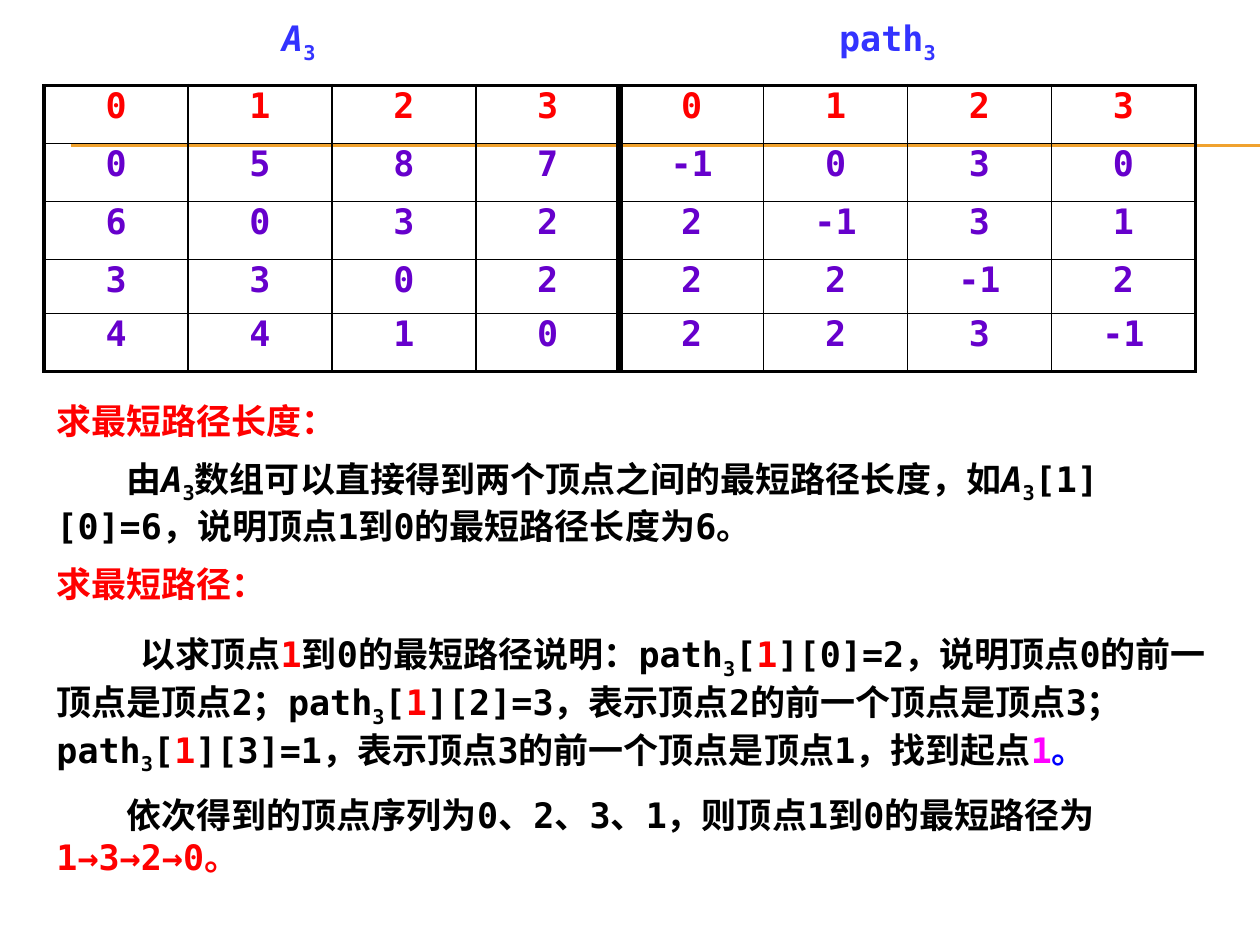
import pptx
import pptx.dml.color
import pptx.enum.text
import pptx.oxml
import pptx.oxml.ns
import pptx.util
from pptx.util import Inches, Pt

RGBColor = pptx.dml.color.RGBColor
BLACK = RGBColor(0x00, 0x00, 0x00)
RED = RGBColor(0xFF, 0x00, 0x00)
PURPLE = RGBColor(0x66, 0x00, 0xCC)
LABEL_BLUE = RGBColor(0x33, 0x33, 0xFF)
BLUE = RGBColor(0x00, 0x00, 0xFF)
MAGENTA = RGBColor(0xFF, 0x00, 0xFF)
ORANGE = RGBColor(0xF0, 0xA2, 0x2E)
FONT = "DejaVu Sans Mono"
SIZE = 20

# A run is (text, color, style); style is "", "italic" or "sub".
def matrix_name(color):
    return [("A", color, "italic"), ("3", color, "sub")]


def path_name(color):
    return [("path", color, ""), ("3", color, "sub")]


def path_lookup(rest):
    """Runs for path3[1]..., with the start vertex in red."""
    return path_name(BLACK) + [("[", BLACK, ""), ("1", RED, ""), (rest, BLACK, "")]


# left, width, runs
LABELS = [(2.24, 0.63, matrix_name(LABEL_BLUE)), (6.66, 0.94, path_name(LABEL_BLUE))]

HEADER = [0, 1, 2, 3]
DISTANCES = [[0, 5, 8, 7], [6, 0, 3, 2], [3, 3, 0, 2], [4, 4, 1, 0]]
PREDECESSORS = [[-1, 0, 3, 0], [2, -1, 3, 1], [2, 2, -1, 2], [2, 2, 3, -1]]
ROWS = [HEADER + HEADER] + [a + p for a, p in zip(DISTANCES, PREDECESSORS)]
ROW_HEIGHTS = [0.46, 0.46, 0.46, 0.43, 0.46]
TABLE_LEFT, TABLE_TOP, TABLE_WIDTH = 0.35, 0.68, 9.14
THIN, OUTER, DIVIDER = 1, 2.25, 4.5

# space before (pt), first-line indent (pt), runs
EXPLANATION = [
    (0, 0, [("求最短路径长度：", RED, "")]),
    (9, 40, [("由", BLACK, "")] + matrix_name(BLACK)
     + [("数组可以直接得到两个顶点之间的最短路径长度，如", BLACK, "")]
     + matrix_name(BLACK)
     + [("[1][0]=6，说明顶点1到0的最短路径长度为6。", BLACK, "")]),
    (9, 0, [("求最短路径：", RED, "")]),
    (16, 48, [("以求顶点", BLACK, ""), ("1", RED, ""), ("到0的最短路径说明：", BLACK, "")]
     + path_lookup("][0]=2，说明顶点0的前一顶点是顶点2；")
     + path_lookup("][2]=3，表示顶点2的前一个顶点是顶点3；")
     + path_lookup("][3]=1，表示顶点3的前一个顶点是顶点1，找到起点")
     + [("1", MAGENTA, ""), ("。", BLUE, "")]),
    (10, 40, [("依次得到的顶点序列为0、2、3、1，则顶点1到0的最短路径为", BLACK, ""),
              ("1→3→2→0。", RED, "")]),
]


def format_run(run, color, style=""):
    font = run.font
    font.name, font.size, font.bold = FONT, Pt(SIZE), True
    font.color.rgb = color
    if style == "italic":
        font.italic = True
    elif style == "sub":
        font._element.set("baseline", "-25000")


def add_runs(paragraph, runs):
    for text, color, style in runs:
        run = paragraph.add_run()
        run.text = text
        format_run(run, color, style)


def add_rule(slide, y):
    rule = slide.shapes.add_connector(
        pptx.enum.shapes.MSO_CONNECTOR.STRAIGHT,
        Inches(0.56), Inches(y), Inches(10), Inches(y))
    rule.line.color.rgb = ORANGE
    rule.line.width = Pt(0.75)
    rule._element.spPr.append(pptx.oxml.parse_xml(
        f'<a:effectLst {pptx.oxml.ns.nsdecls("a")}/>'))


def set_borders(cell, widths):
    """Draw black borders; widths are points for left, right, top, bottom."""
    properties = cell._tc.get_or_add_tcPr()
    for position, (side, width) in enumerate(zip("LRTB", widths)):
        properties.insert(position, pptx.oxml.parse_xml(
            f'<a:ln{side} {pptx.oxml.ns.nsdecls("a")} w="{Pt(width)}">'
            f'<a:solidFill><a:srgbClr val="{BLACK}"/></a:solidFill></a:ln{side}>'))


def add_matrices(slide):
    column_count = len(ROWS[0])
    table = slide.shapes.add_table(
        len(ROWS), column_count, Inches(TABLE_LEFT), Inches(TABLE_TOP),
        Inches(TABLE_WIDTH), Inches(sum(ROW_HEIGHTS))).table
    table.first_row = table.horz_banding = False
    for row, height in zip(table.rows, ROW_HEIGHTS):
        row.height = Inches(height)

    column_edges = [THIN] * (column_count + 1)
    column_edges[0] = column_edges[-1] = OUTER
    column_edges[len(HEADER)] = DIVIDER
    row_edges = [OUTER] + [THIN] * (len(ROWS) - 1) + [OUTER]

    for r, values in enumerate(ROWS):
        for c, value in enumerate(values):
            cell = table.cell(r, c)
            cell.margin_left = cell.margin_right = 0
            cell.margin_top = cell.margin_bottom = 0
            cell.fill.background()
            set_borders(cell, column_edges[c:c + 2] + row_edges[r:r + 2])
            paragraph = cell.text_frame.paragraphs[0]
            paragraph.text = str(value)
            paragraph.alignment = pptx.enum.text.PP_ALIGN.CENTER
            format_run(paragraph.runs[0], RED if r == 0 else PURPLE)


def add_label(slide, left, width, runs):
    frame = slide.shapes.add_textbox(
        Inches(left), Inches(0.13), Inches(width), Inches(0.34)).text_frame
    frame.margin_left = frame.margin_right = 0
    frame.margin_top = frame.margin_bottom = 0
    frame.word_wrap = True
    add_runs(frame.paragraphs[0], runs)


def add_explanation(slide):
    frame = slide.shapes.add_textbox(
        Inches(TABLE_LEFT), Inches(3.12), Inches(9.53), Inches(3.9)).text_frame
    frame.word_wrap = True
    for number, (space, indent, runs) in enumerate(EXPLANATION):
        paragraph = frame.add_paragraph() if number else frame.paragraphs[0]
        paragraph.space_before = Pt(space)
        paragraph._p.get_or_add_pPr().set("indent", str(Pt(indent)))
        add_runs(paragraph, runs)


def main():
    presentation = pptx.Presentation()
    presentation.slide_width, presentation.slide_height = Inches(10), Inches(7.5)
    slide = presentation.slides.add_slide(presentation.slide_layouts[6])
    for y in (1.15, 1.16):
        add_rule(slide, y)
    add_explanation(slide)
    add_matrices(slide)
    for label in LABELS:
        add_label(slide, *label)
    presentation.save("out.pptx")


if __name__ == "__main__":
    main()
